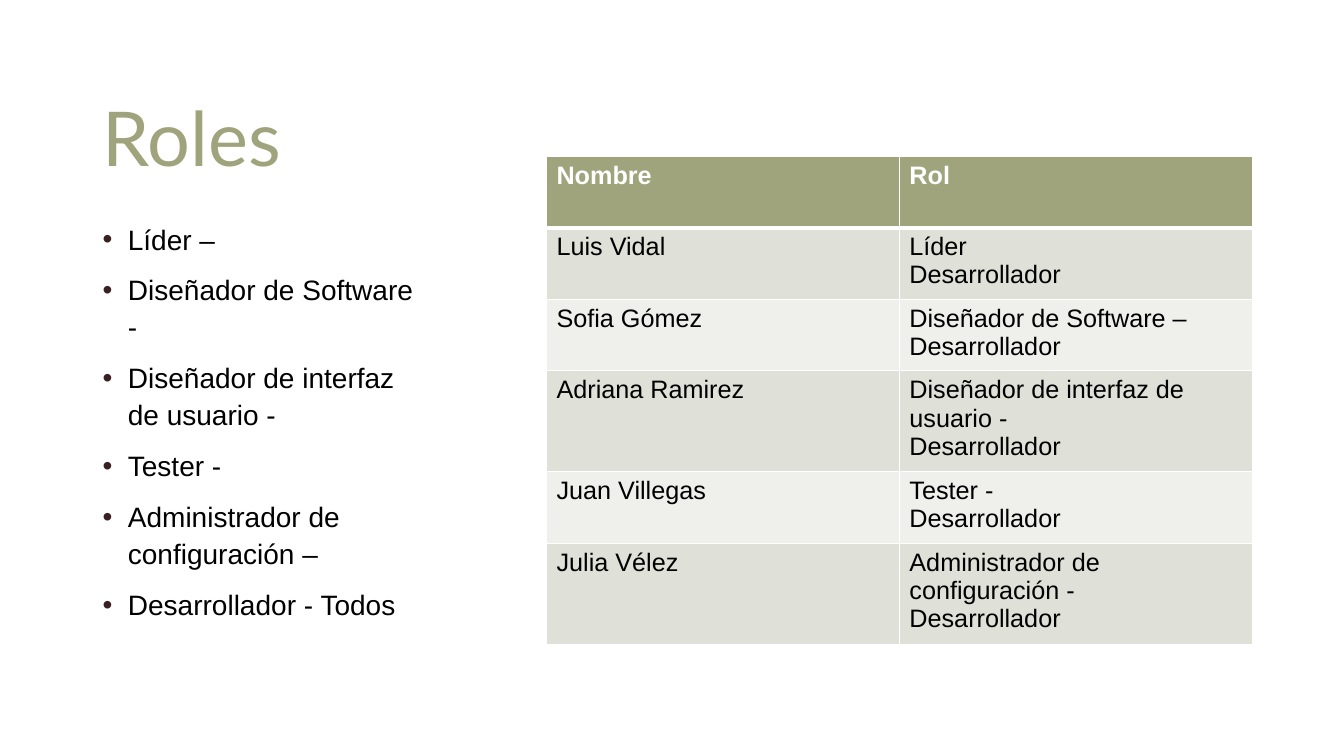
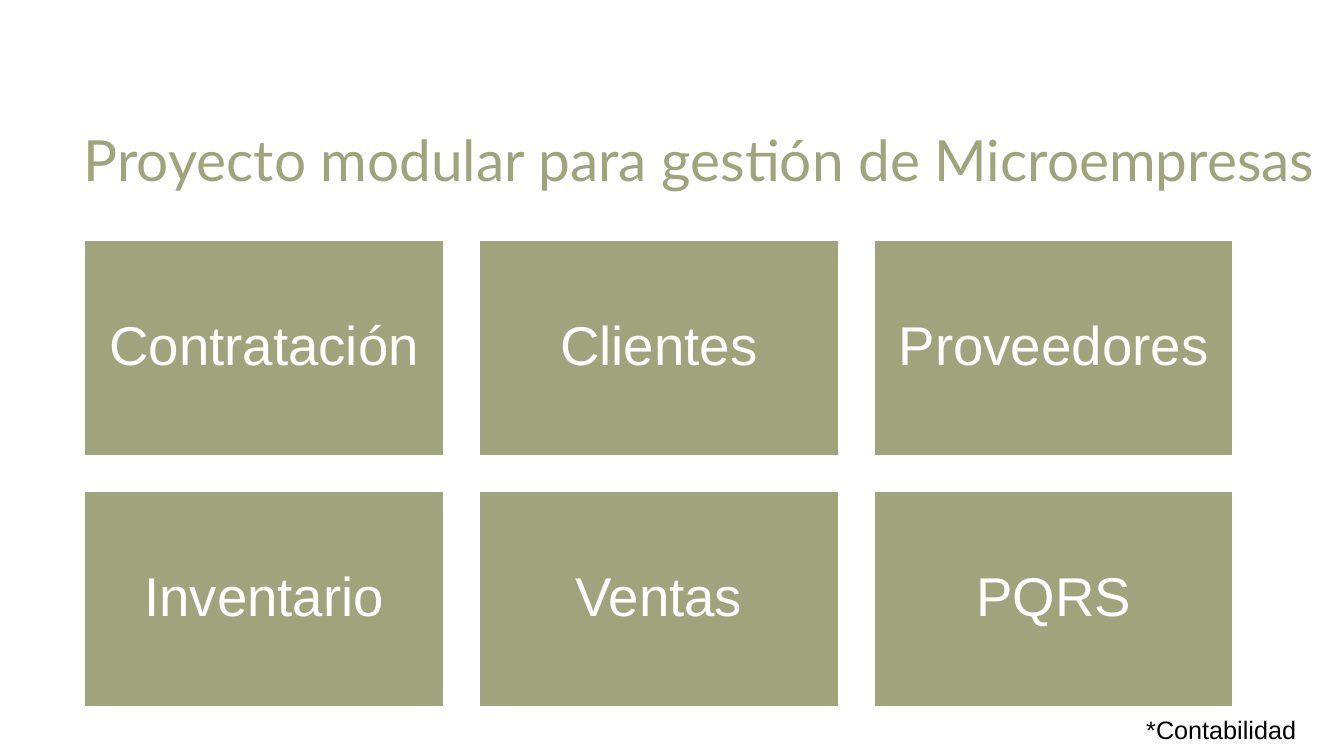
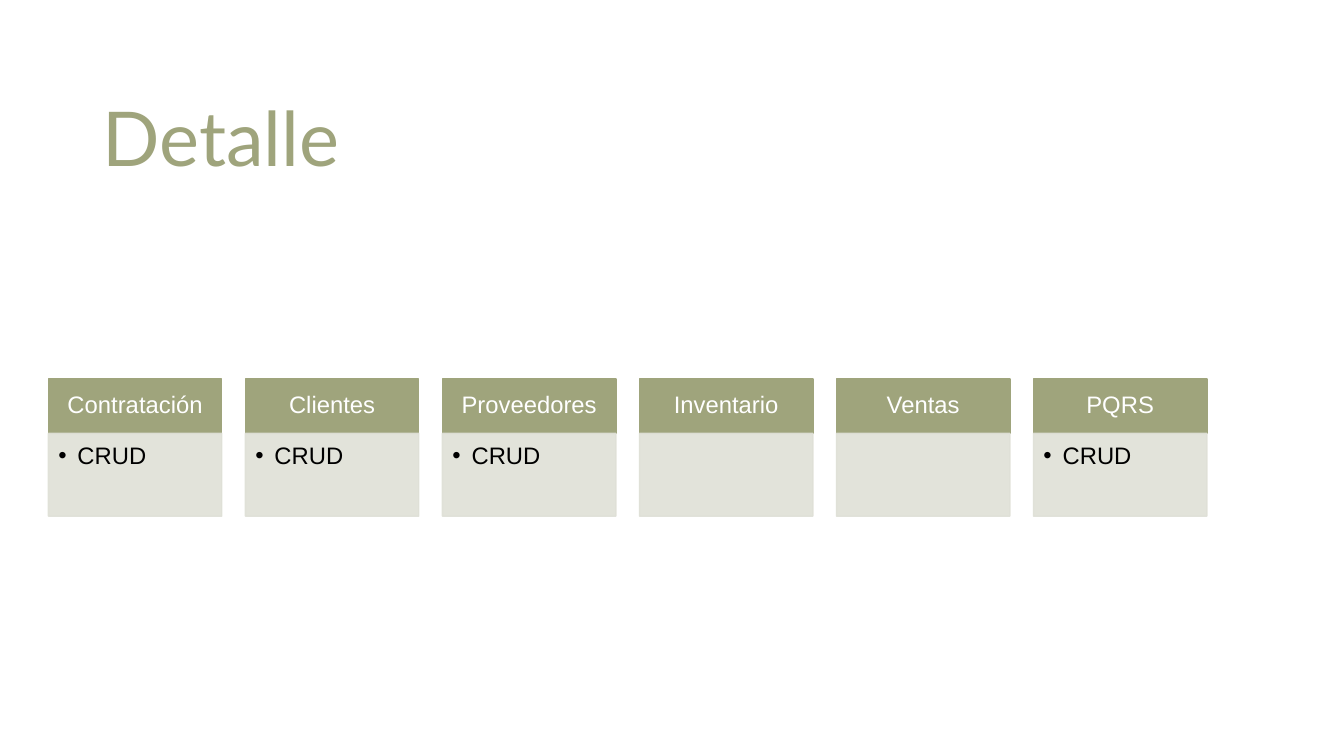
import pptx
import pptx.util
import pptx.dml.color
import pptx.enum.shapes
import pptx.enum.text
import pptx.oxml
import pptx.oxml.ns
from dataclasses import dataclass

Inches, Pt = pptx.util.Inches, pptx.util.Pt
ANCHOR, ALIGN = pptx.enum.text.MSO_ANCHOR, pptx.enum.text.PP_ALIGN


@dataclass(frozen=True)
class Theme:
    width: float = 13.33
    height: float = 7.5
    title_font: str = "Lato"
    body_font: str = "Arial"
    accent: str = "9FA47C"
    band_dark: str = "DFE0D7"
    band_light: str = "EFF0EC"
    bullet: str = "392022"
    ink: str = "000000"
    paper: str = "FFFFFF"
    title_size: float = 54
    long_title_size: float = 40.5
    tile_size: float = 39
    list_size: float = 20
    text_size: float = 18
    column_size: float = 17


THEME = Theme()
TITLE_AREA = (0.92, 0.4, 11.5, 1.45)
TEXT_INSETS = (0.1, 0.05, 0.1, 0.05)

ROLES = [
    "Líder –",
    "Diseñador de Software -",
    "Diseñador de interfaz de usuario -",
    "Tester -",
    "Administrador de configuración –",
    "Desarrollador - Todos",
]
TEAM = [
    ("Nombre", ["Rol"]),
    ("Luis Vidal", ["Líder", "Desarrollador"]),
    ("Sofia Gómez", ["Diseñador de Software –", "Desarrollador"]),
    ("Adriana Ramirez", ["Diseñador de interfaz de usuario -", "Desarrollador"]),
    ("Juan Villegas", ["Tester -", "Desarrollador"]),
    ("Julia Vélez", ["Administrador de configuración -", "Desarrollador"]),
]
TEAM_ROW_HEIGHTS = [0.71, 0.71, 0.71, 0.97, 0.71, 0.97]
MODULES = [
    ("Contratación", ["CRUD"]),
    ("Clientes", ["CRUD"]),
    ("Proveedores", ["CRUD"]),
    ("Inventario", []),
    ("Ventas", []),
    ("PQRS", ["CRUD"]),
]


def rgb(value):
    return pptx.dml.color.RGBColor.from_string(value)


def lengths(values):
    return [Inches(value) for value in values]


def set_attributes(target, values):
    for name, value in values.items():
        setattr(target, name, value)


def xml(markup):
    return pptx.oxml.parse_xml(
        markup.replace(">", f" {pptx.oxml.ns.nsdecls('a')}>", 1)
        if not markup.endswith("/>") or markup.count("<") > 1
        else markup.replace("/>", f" {pptx.oxml.ns.nsdecls('a')}/>"))


def add_bullet(para, indent, color):
    properties = para._p.get_or_add_pPr()
    properties.set("marL", str(Inches(indent)))
    properties.set("indent", str(-Inches(indent)))
    for markup in (f'<a:buClr><a:srgbClr val="{color}"/></a:buClr>',
                   '<a:buFont typeface="Arial"/>', '<a:buChar char="•"/>'):
        properties.append(xml(markup))


def write(frame, lines, size, color, font=THEME.body_font, bold=False,
          bullet=None, **para_format):
    """Write one paragraph per line; bullet is an (indent, colour) pair."""
    for index, line in enumerate(lines):
        para = frame.paragraphs[0] if index == 0 else frame.add_paragraph()
        set_attributes(para, para_format)
        if bullet:
            add_bullet(para, *bullet)
        span = para.add_run()
        span.text = line
        set_attributes(span.font, {"size": Pt(size), "name": font, "bold": bold})
        span.font.color.rgb = rgb(color)


def set_frame(frame, insets, anchor):
    sides = ("margin_left", "margin_top", "margin_right", "margin_bottom")
    set_attributes(frame, dict(zip(sides, lengths(insets))))
    set_attributes(frame, {"word_wrap": True, "vertical_anchor": anchor})


def add_text(page, area, lines, size, color, anchor=ANCHOR.TOP, **text_format):
    box = page.shapes.add_textbox(*lengths(area))
    set_frame(box.text_frame, TEXT_INSETS, anchor)
    write(box.text_frame, lines, size, color, **text_format)


def add_title(page, text, area=TITLE_AREA, size=THEME.title_size, **text_format):
    add_text(page, area, [text], size, THEME.accent, ANCHOR.BOTTOM,
             font=THEME.title_font, **text_format)


def add_panel(page, area, fill, line, insets, anchor, lines, size, color,
              opacity=100, **text_format):
    """Draw a filled rectangle that carries its own text."""
    panel = page.shapes.add_shape(
        pptx.enum.shapes.MSO_SHAPE.RECTANGLE, *lengths(area))
    panel.shadow.inherit = False
    panel.fill.solid()
    panel.fill.fore_color.rgb = rgb(fill)
    panel.line.color.rgb = rgb(line)
    panel.line.width = Pt(1)
    if opacity < 100:
        for tone in panel._element.spPr.iter(pptx.oxml.ns.qn("a:srgbClr")):
            tone.append(xml(f'<a:alpha val="{opacity * 1000}"/>'))
    set_frame(panel.text_frame, insets, anchor)
    write(panel.text_frame, lines, size, color, **text_format)


def style_cell(cell, lines, fill, top, bottom, **text_format):
    """Fill a cell, write it and rule it; top and bottom are line widths."""
    write(cell.text_frame, lines, THEME.text_size, **text_format)
    properties = cell._tc.get_or_add_tcPr()
    for side, width in (("L", 0.96), ("R", 0.96), ("T", top), ("B", bottom)):
        properties.append(xml(
            f'<a:ln{side} w="{Pt(width)}"><a:solidFill>'
            f'<a:srgbClr val="{THEME.paper}"/></a:solidFill></a:ln{side}>'))
    cell.fill.solid()
    cell.fill.fore_color.rgb = rgb(fill)


def add_team_table(page, left, top, column_width):
    table = page.shapes.add_table(
        len(TEAM), 2, *lengths((left, top, 2 * column_width, sum(TEAM_ROW_HEIGHTS)))).table
    for column in table.columns:
        column.width = Inches(column_width)
    for row, (name, roles) in enumerate(TEAM):
        table.rows[row].height = Inches(TEAM_ROW_HEIGHTS[row])
        header = row == 0
        band = THEME.band_dark if row % 2 else THEME.band_light
        for column, lines in enumerate(([name], roles)):
            style_cell(table.cell(row, column), lines,
                       fill=THEME.accent if header else band,
                       top=3 if row == 1 else 0.96,
                       bottom=3 if header else 0.96,
                       color=THEME.paper if header else THEME.ink,
                       bold=header)


def build_roles(page):
    add_title(page, "Roles")
    add_text(page, (0.92, 2.12, 3.3, 4.45), ROLES, THEME.list_size, THEME.ink,
             bullet=(0.25, THEME.bullet), line_spacing=1.1, space_before=Pt(10))
    add_team_table(page, left=5.42, top=1.55, column_width=3.5)


def build_project(page):
    add_title(page, "Proyecto modular para gestión de Microempresas",
              (0.55, 0.4, 12.78, 1.56), THEME.long_title_size,
              alignment=ALIGN.CENTER)
    left, top, width, height, gap, columns = 0.84, 2.38, 3.56, 2.14, 0.355, 3
    for index, (name, _) in enumerate(MODULES):
        row, column = divmod(index, columns)
        area = (left + column * (width + gap), top + row * (height + gap), width, height)
        add_panel(page, area, THEME.accent, THEME.paper, (0.16,) * 4, ANCHOR.MIDDLE,
                  [name], THEME.tile_size, THEME.paper,
                  alignment=ALIGN.CENTER, line_spacing=0.9)
    add_text(page, (11.27, 7.04, 2.06, 0.4), ["*Contabilidad"],
             THEME.text_size, THEME.ink)


def build_detail(page):
    add_title(page, "Detalle")
    left, top, width, pitch = 0.48, 3.76, 1.72, 1.954
    head_height, body_height = 0.54, 0.82
    for index, (name, details) in enumerate(MODULES):
        x = left + index * pitch
        add_panel(page, (x, top, width, head_height), THEME.accent, THEME.accent,
                  (0.13, 0.08, 0.13, 0.08), ANCHOR.MIDDLE,
                  [name], THEME.column_size, THEME.paper,
                  alignment=ALIGN.CENTER, line_spacing=0.9)
        add_panel(page, (x, top + head_height, width, body_height),
                  THEME.band_dark, THEME.band_dark,
                  (0.1, 0.1, 0.13, 0.15), ANCHOR.TOP,
                  details, THEME.column_size, THEME.ink, opacity=90,
                  bullet=(0.19, THEME.ink), alignment=ALIGN.LEFT, line_spacing=0.9)


def main():
    deck = pptx.Presentation()
    deck.slide_width, deck.slide_height = lengths((THEME.width, THEME.height))
    for build in (build_roles, build_project, build_detail):
        build(deck.slides.add_slide(deck.slide_layouts[6]))
    deck.save("out.pptx")


if __name__ == "__main__":
    main()
